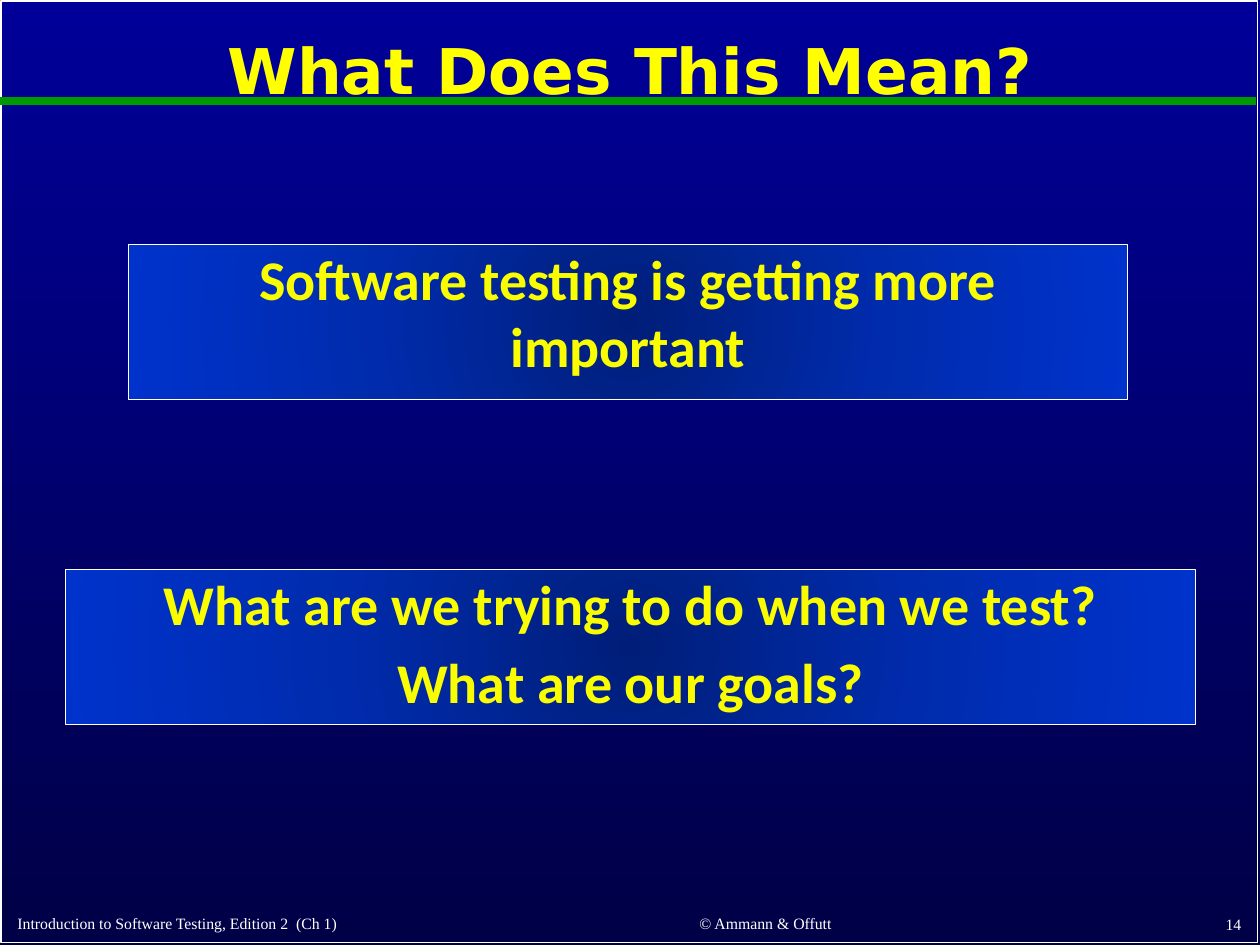
from lxml import etree
from pptx import Presentation
from pptx.dml.color import RGBColor
from pptx.enum.shapes import MSO_CONNECTOR, MSO_SHAPE
from pptx.enum.text import MSO_ANCHOR as Anchor, PP_ALIGN as Align
from pptx.oxml.ns import qn
from pptx.util import Inches, Pt

WHITE = RGBColor(0xFF, 0xFF, 0xFF)
GREEN = RGBColor(0x00, 0x99, 0x00)
TITLE_YELLOW = RGBColor(0xFF, 0xFF, 0x00)
BOX_YELLOW = RGBColor(0xFA, 0xFD, 0x00)
SKY_TOP = RGBColor(0x00, 0x00, 0x99)
SKY_BOTTOM = RGBColor(0x00, 0x00, 0x46)
BOX_STOPS = [
    (0, RGBColor(0x00, 0x1E, 0x79)),
    (50, RGBColor(0x00, 0x2B, 0xAC)),
    (100, RGBColor(0x00, 0x33, 0xCC)),
]


def write_text(frame, lines, font, size, color, bold=False, align=Align.LEFT,
               anchor=Anchor.TOP, wrap=True, space_before=0, line_spacing=1.0):
    frame.word_wrap = wrap
    frame.vertical_anchor = anchor
    for index, line in enumerate(lines):
        paragraph = frame.paragraphs[0] if index == 0 else frame.add_paragraph()
        paragraph.alignment = align
        paragraph.space_before = Pt(space_before)
        paragraph.line_spacing = line_spacing
        run = paragraph.add_run()
        run.text = line
        run.font.name = font
        run.font.size = Pt(size)
        run.font.bold = bold
        run.font.color.rgb = color


def set_background(slide):
    fill = slide.background.fill
    fill.gradient()
    fill.gradient_angle = 270
    for stop, color in zip(fill.gradient_stops, (SKY_TOP, SKY_BOTTOM)):
        stop.color.rgb = color


def set_radial_fill(shape, stops):
    shape.fill.gradient()
    gradient = shape._element.spPr.find(qn("a:gradFill"))
    for child in list(gradient):
        gradient.remove(child)
    stop_list = etree.SubElement(gradient, qn("a:gsLst"))
    for percent, color in stops:
        stop = etree.SubElement(stop_list, qn("a:gs"), pos=str(percent * 1000))
        etree.SubElement(stop, qn("a:srgbClr"), val=str(color))
    circle = etree.SubElement(gradient, qn("a:path"), path="circle")
    center = dict.fromkeys("ltrb", "50000")
    etree.SubElement(circle, qn("a:fillToRect"), **center)


def add_rectangle(slide, left, top, width, height, line_width):
    shape = slide.shapes.add_shape(
        MSO_SHAPE.RECTANGLE, Inches(left), Inches(top), Inches(width), Inches(height))
    shape.shadow.inherit = False
    shape.fill.background()
    shape.line.color.rgb = WHITE
    shape.line.width = Pt(line_width)
    return shape


def add_rule(slide, left, right, y):
    rule = slide.shapes.add_connector(
        MSO_CONNECTOR.STRAIGHT, Inches(left), Inches(y), Inches(right), Inches(y))
    rule.line.color.rgb = GREEN
    rule.line.width = Pt(4.5)
    etree.SubElement(rule._element.spPr, qn("a:effectLst"))


def add_title(slide, text):
    title = slide.shapes.title
    title.left, title.top = Inches(0.05), Inches(0.11)
    title.width, title.height = Inches(9.9), Inches(0.95)
    write_text(title.text_frame, [text], "DejaVu Sans", 36, TITLE_YELLOW, bold=True,
               align=Align.CENTER, anchor=Anchor.MIDDLE, line_spacing=0.9)
    # Bring the title in front of the rule
    slide.shapes._spTree.append(title._element)


def add_footer(slide, text, left, top, width, height, align):
    box = slide.shapes.add_textbox(
        Inches(left), Inches(top), Inches(width), Inches(height))
    write_text(box.text_frame, [text], "Times New Roman", 9, WHITE,
               align=align, anchor=Anchor.BOTTOM, wrap=False)


def add_message(slide, lines, left, top, width):
    box = add_rectangle(slide, left, top, width, 1.23, 0.75)
    set_radial_fill(box, BOX_STOPS)
    box.text_frame.margin_top = 0
    write_text(box.text_frame, lines, "Calibri", 32, BOX_YELLOW, bold=True,
               align=Align.CENTER, space_before=6.4)


def main():
    presentation = Presentation()
    presentation.slide_width, presentation.slide_height = Inches(10), Inches(7.5)
    slide = presentation.slides.add_slide(presentation.slide_layouts[5])

    # Backdrop, frame and heading
    set_background(slide)
    add_rectangle(slide, 0.01, 0.01, 9.97, 7.47, 1)
    add_rule(slide, 0, 9.97, 0.8)
    add_title(slide, "What Does This Mean?")

    # Footer
    add_footer(slide, "Introduction to Software Testing, Edition 2  (Ch 1)",
               0.04, 7.18, 4.2, 0.27, Align.LEFT)
    add_footer(slide, "© Ammann & Offutt", 4.49, 7.17, 3.17, 0.28, Align.CENTER)
    add_footer(slide, "14", 7.87, 7.17, 2.08, 0.29, Align.RIGHT)

    # Messages
    add_message(slide, ["Software testing is getting more important"], 1.02, 1.94, 7.93)
    add_message(slide, ["What are we trying to do when we test?", "What are our goals?"],
                0.52, 4.52, 8.97)

    presentation.save("out.pptx")


if __name__ == "__main__":
    main()
